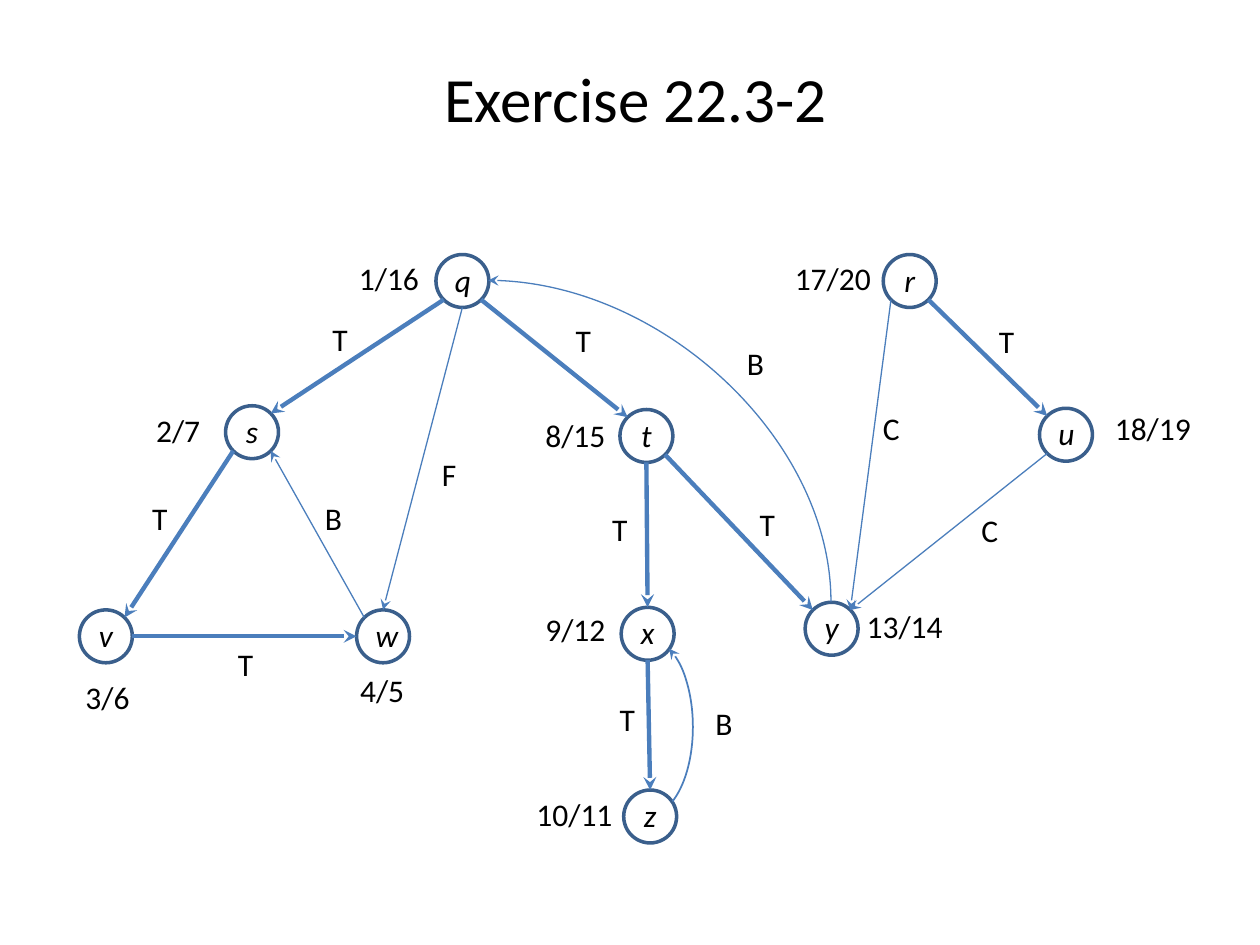
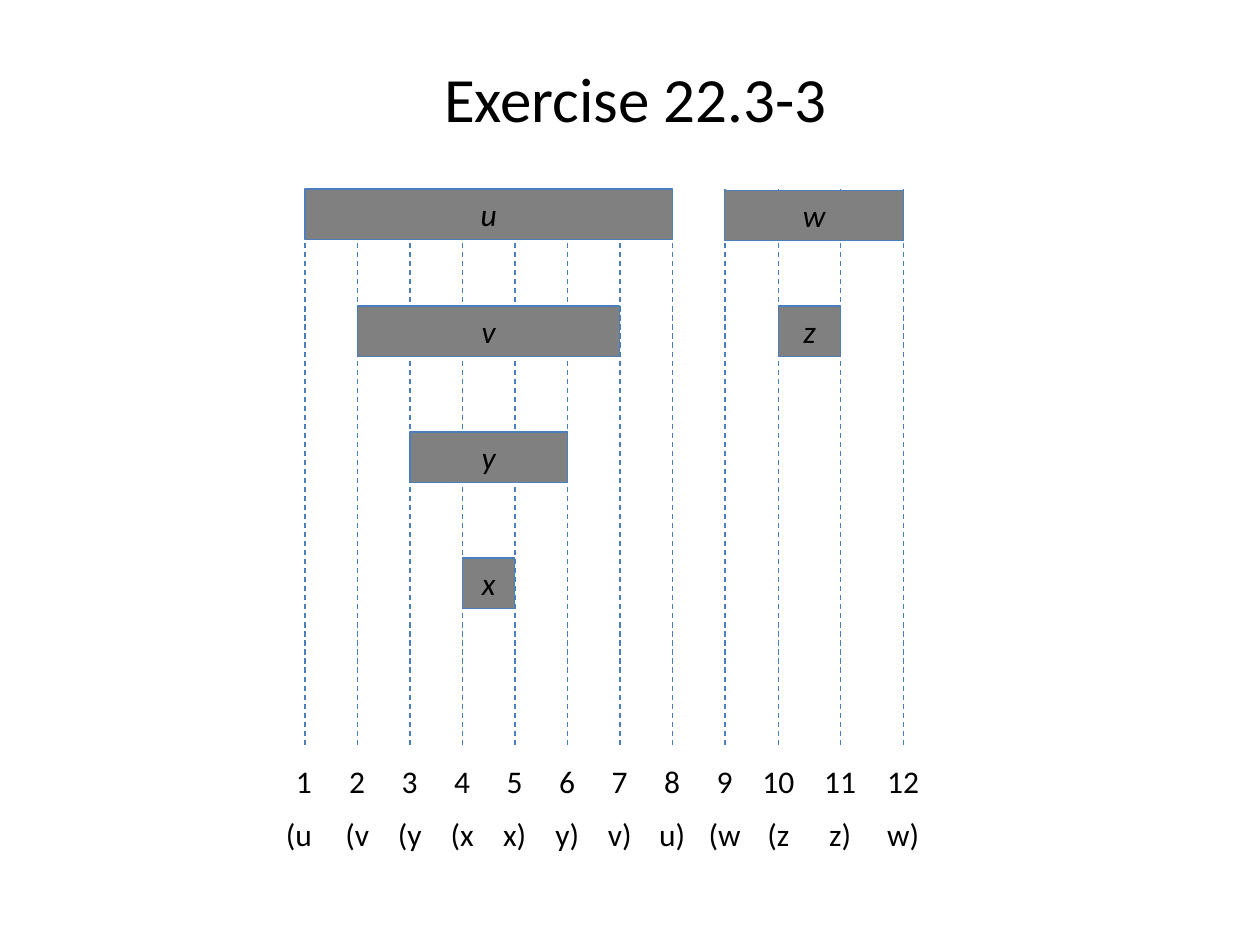
from math import sqrt

from lxml.etree import SubElement
from pptx import Presentation
from pptx.dml.color import RGBColor
from pptx.enum.dml import MSO_LINE
from pptx.enum.shapes import MSO_CONNECTOR, MSO_SHAPE
from pptx.enum.text import MSO_ANCHOR, MSO_AUTO_SIZE, PP_ALIGN
from pptx.oxml.ns import qn
from pptx.util import Inches, Pt

# Shared look
BLACK, BLUE, NAVY, GRAY = "000000", "4B7EBC", "3A5F8C", "808080"
BODY = {"name": "Calibri", "size": Pt(18)}
ITALIC = {**BODY, "italic": True}
TITLE = {**BODY, "size": Pt(36)}
TEXT_H = 0.4
THIN, THICK = 0.75, 2.5

# Graph: node -> left, top of its circle
NODE_D = 0.42
NODES = {
    "q": (3.46, 2.02), "r": (7.01, 2.02), "s": (1.79, 3.22),
    "t": (4.92, 3.25), "u": (8.25, 3.24), "v": (0.63, 4.84),
    "w": (2.83, 4.84), "x": (4.93, 4.82), "y": (6.39, 4.78),
    "z": (4.95, 6.27),
}
# Unit directions of the eight points where an edge meets a circle
D = 1 / sqrt(2)
SITES = {"T": (0, -1), "B": (0, 1), "L": (-1, 0), "R": (1, 0),
         "TL": (-D, -D), "TR": (D, -D), "BL": (-D, D), "BR": (D, D)}
TREE_EDGES = ["q BL s TR", "q BR t TL", "s BL v TR", "v R w L",
              "t B x T", "x B z T", "t BR y TL", "r BR u TL"]
OTHER_EDGES = ["q B w T", "w TL s BR", "u BL y TR", "r BL y TR"]
TIMES = [("1/16", 2.75, 2.01), ("2/7", 1.14, 3.21), ("3/6", 0.58, 5.33),
         ("4/5", 2.76, 5.28), ("8/15", 4.23, 3.25), ("9/12", 4.23, 4.79),
         ("10/11", 4.16, 6.26), ("13/14", 6.78, 4.77),
         ("17/20", 6.21, 2.01), ("18/19", 8.75, 3.2)]
EDGE_TYPES = [("T", 2.54, 2.49), ("T", 1.11, 3.91), ("T", 1.79, 5.07),
              ("B", 2.48, 3.91), ("T", 4.47, 2.5), ("T", 4.76, 4),
              ("T", 4.82, 5.51), ("B", 5.58, 5.54), ("T", 5.93, 3.96),
              ("B", 5.83, 2.68), ("F", 3.41, 3.56), ("T", 7.83, 2.51),
              ("C", 7.69, 4.01), ("C", 6.91, 3.2)]

# Intervals: x of each time step; name, first step, last step, top
STEP_X = [2.42 + i * 5 / 12 for i in range(9)] + [6.18, 6.67, 7.17]
LINE_TOP, LINE_BOTTOM = 1.5, 5.92
BARS = [("u", 1, 8, 1.5), ("v", 2, 7, 2.43), ("y", 3, 6, 3.43),
        ("x", 4, 5, 4.43), ("w", 9, 12, 1.51), ("z", 10, 11, 2.43)]
PARENS = "(u (v (y (x x) y) v) u) (w (z z) w)".split()


def rgb(value):
    return RGBColor.from_string(value)


def write(sp, text, fmt, align=PP_ALIGN.CENTER, wrap=False):
    tf = sp.text_frame
    tf.word_wrap = wrap
    tf.auto_size = MSO_AUTO_SIZE.SHAPE_TO_FIT_TEXT
    p = tf.paragraphs[0]
    p.alignment = align
    r = p.add_run()
    r.text = text
    for key, value in fmt.items():
        setattr(r.font, key, value)
    r.font.color.rgb = rgb(BLACK)
    return p


def add_text(s, text, x, y, w, h=TEXT_H, fmt=BODY, **options):
    sp = s.shapes.add_textbox(Inches(x), Inches(y), Inches(w), Inches(h))
    return write(sp, text, fmt, **options)


def text_width(text):
    return 0.19 + 0.125 * len(text)


def add_label(s, text, x, y):
    add_text(s, text, x, y, text_width(text), align=PP_ALIGN.LEFT)


def add_preset(s, kind, x, y, w, h, color, width, fill=None):
    sp = s.shapes.add_shape(kind, Inches(x), Inches(y), Inches(w), Inches(h))
    sp.shadow.inherit = False
    if fill:
        sp.fill.solid()
        sp.fill.fore_color.rgb = rgb(fill)
    else:
        sp.fill.background()
    sp.line.color.rgb = rgb(color)
    sp.line.width = Pt(width)
    return sp


def add_arrowhead(sp, end):
    SubElement(sp.line._get_or_add_ln(), qn(f"a:{end}"), type="stealth")


def add_line(s, start, end, width, kind=MSO_CONNECTOR.STRAIGHT, dash=None):
    c = s.shapes.add_connector(kind, *map(Inches, (*start, *end)))
    c.line.color.rgb = rgb(BLUE)
    c.line.width = Pt(width)
    if dash:
        c.line.dash_style = dash
    else:
        add_arrowhead(c, "tailEnd")
    SubElement(c._element.spPr, qn("a:effectLst"))
    return c


def add_node(s, name, x, y):
    w = text_width(name)
    add_text(s, name, x + (NODE_D - w) / 2, y, w, fmt=ITALIC)
    add_preset(s, MSO_SHAPE.OVAL, x, y, NODE_D, NODE_D, NAVY, 2)


def site(node, side):
    return [left + NODE_D / 2 * (1 + d)
            for left, d in zip(NODES[node], SITES[side])]


def add_edge(s, edge, width):
    tail, tail_side, head, head_side = edge.split()
    add_line(s, site(tail, tail_side), site(head, head_side), width)


def add_back_edges(s):
    # z to x: arc around the right side
    arc = add_preset(s, MSO_SHAPE.ARC, 4.8, 5.07, 0.7, 1.4, BLUE, 1)
    arc.adjustments[0], arc.adjustments[1] = 170.738, 43.42
    add_arrowhead(arc, "headEnd")
    # y to q: quarter curve, turned to leave y upwards
    c = add_line(s, (3.96, 4.86), (6.51, 2.14), THIN, MSO_CONNECTOR.CURVE)
    spPr = c._element.spPr
    spPr.find(qn("a:xfrm")).set("rot", str(270 * 60000))
    spPr.find(qn("a:prstGeom")).set("prst", "curvedConnector2")


def add_step_row(s, items, x, y):
    """One line of text, each item centred under its time step."""
    p = add_text(s, "\t".join(items), x, y, 5.4,
                 align=PP_ALIGN.LEFT, wrap=True)
    tabs = SubElement(p._p.get_or_add_pPr(), qn("a:tabLst"))
    for step_x in STEP_X[1:]:
        SubElement(tabs, qn("a:tab"), algn="ctr",
                   pos=str(Inches(step_x - x - 0.1)))


def add_bar(s, name, first, last, top):
    left, right = STEP_X[first - 1], STEP_X[last - 1]
    sp = add_preset(s, MSO_SHAPE.RECTANGLE, left, top, right - left, TEXT_H,
                    BLUE, THIN, GRAY)
    sp.text_frame.vertical_anchor = MSO_ANCHOR.MIDDLE
    write(sp, name, ITALIC, wrap=True)


def new_slide(prs, title):
    s = prs.slides.add_slide(prs.slide_layouts[6])
    add_text(s, title, 3.41, 0.42, 3.27, 0.71, TITLE)
    return s


def graph_slide(prs):
    s = new_slide(prs, "Exercise 22.3-2")
    for name, (x, y) in NODES.items():
        add_node(s, name, x, y)
    for edges, width in ((TREE_EDGES, THICK), (OTHER_EDGES, THIN)):
        for edge in edges:
            add_edge(s, edge, width)
    add_back_edges(s)
    for label in TIMES + EDGE_TYPES:
        add_label(s, *label)


def interval_slide(prs):
    s = new_slide(prs, "Exercise 22.3-3")
    for x in STEP_X:
        add_line(s, (x, LINE_TOP), (x, LINE_BOTTOM), THIN, dash=MSO_LINE.DASH)
    for bar in BARS:
        add_bar(s, *bar)
    add_step_row(s, [str(i + 1) for i in range(len(STEP_X))], 2.25, 6)
    add_step_row(s, PARENS, 2.17, 6.42)


def main():
    prs = Presentation()
    prs.slide_width, prs.slide_height = Inches(10), Inches(7.5)
    graph_slide(prs)
    interval_slide(prs)
    prs.save("out.pptx")


if __name__ == "__main__":
    main()
